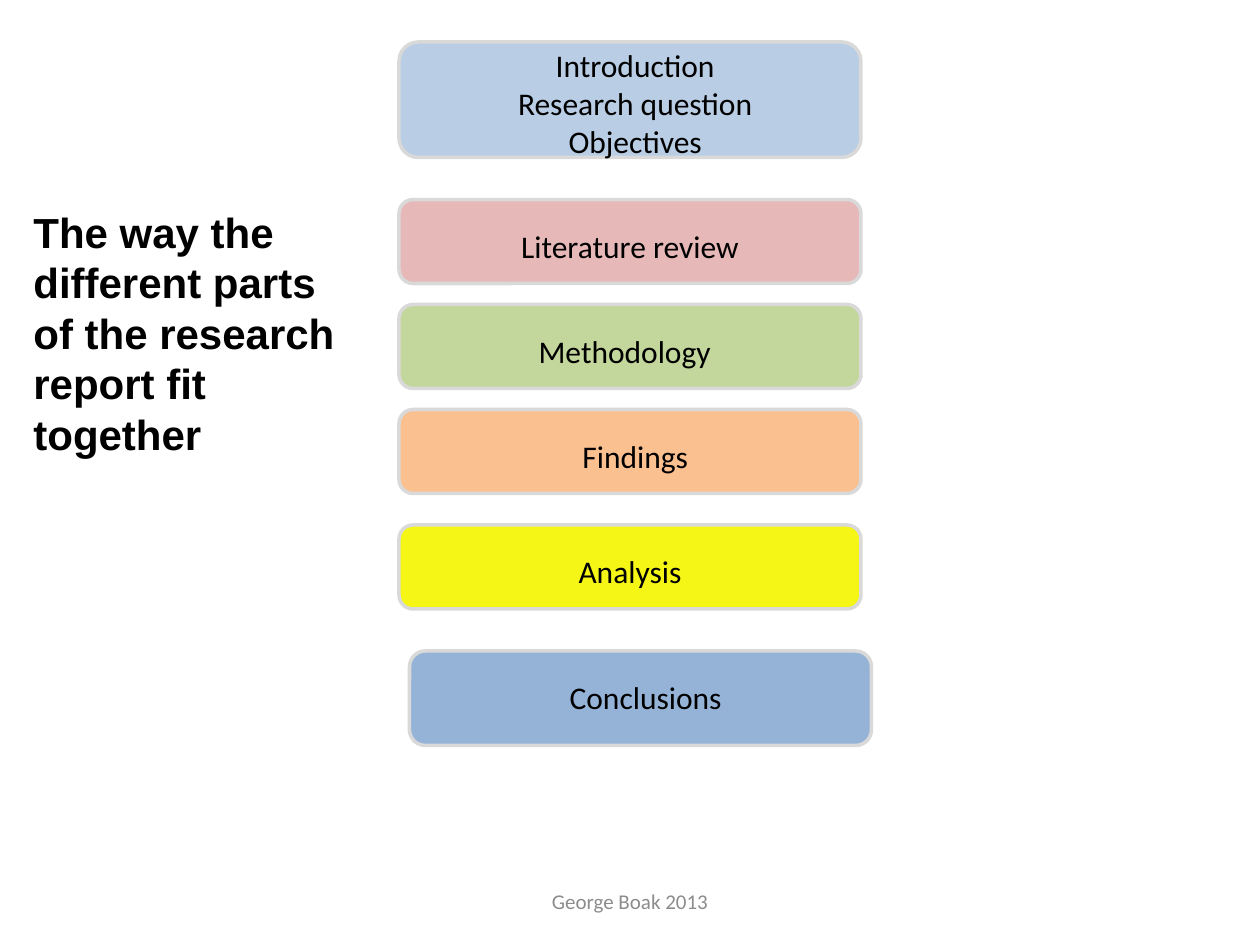
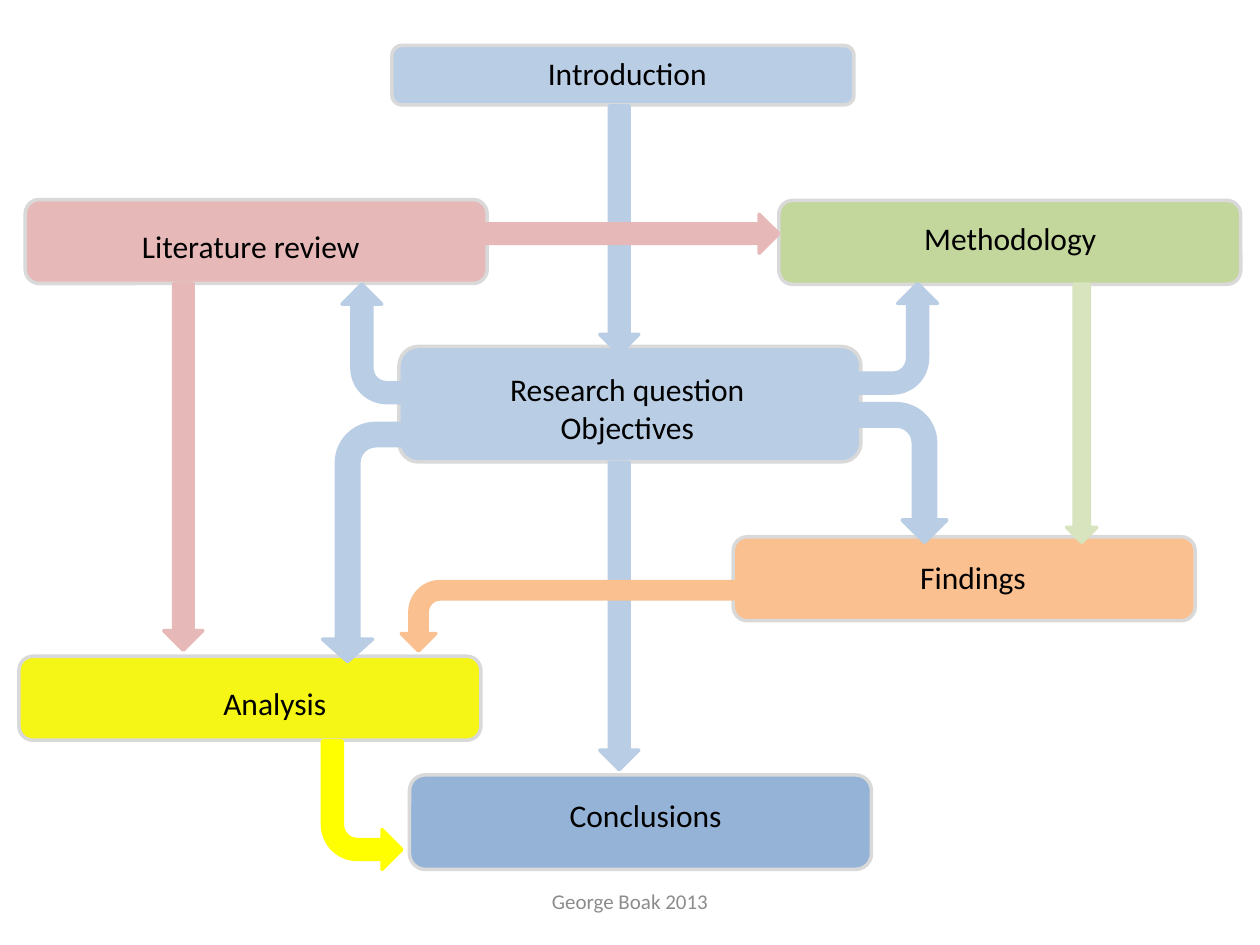
"""Two slides on how the parts of a research report fit together."""
from pptx import Presentation
from pptx.dml.color import RGBColor
from pptx.enum.shapes import MSO_SHAPE as SHAPE
from pptx.enum.text import MSO_ANCHOR as ANCHOR, MSO_AUTO_SIZE as AUTO, PP_ALIGN as ALIGN
from pptx.util import Pt

COLORS = {
    "text": "000000", "footer": "8C8C8C", "border": "D9D9D9",
    "question": "B9CDE5", "literature": "E6B9B8", "methodology": "C3D69B",
    "findings": "FAC090", "analysis": "F6F616", "conclusions": "95B3D7",
    "light_green": "D7E4BD", "yellow": "FFFF00",
}
BOX_W = 264
LINE_H = 22


def add_text(slide, text, x, y, w, h, size=18, font="Calibri", color="text",
             bold=False, align=ALIGN.CENTER, anchor=ANCHOR.TOP, grow=True):
    tf = slide.shapes.add_textbox(Pt(x), Pt(y), Pt(w), Pt(h)).text_frame
    tf.word_wrap = True
    tf.auto_size = AUTO.SHAPE_TO_FIT_TEXT if grow else AUTO.NONE
    tf.vertical_anchor = anchor
    for i, line in enumerate(text.split("\n")):
        p = tf.add_paragraph() if i else tf.paragraphs[0]
        p.alignment = align
        r = p.add_run()
        r.text = line
        r.font.name, r.font.size, r.font.bold = font, Pt(size), bold
        r.font.color.rgb = RGBColor.from_string(COLORS[color])


def add_shape(slide, kind, fill, x, y, w, h, line=None, rotation=0, flip=None):
    sp = slide.shapes.add_shape(kind, Pt(x), Pt(y), Pt(w), Pt(h))
    sp.shadow.inherit = False
    sp.fill.solid()
    sp.fill.fore_color.rgb = RGBColor.from_string(COLORS[fill])
    sp.line.color.rgb = RGBColor.from_string(COLORS[line or fill])
    sp.line.width = Pt(2)
    sp.rotation = rotation
    if flip:
        sp._element.spPr.xfrm.set(flip, "1")
    return sp


prs = Presentation()
prs.slide_width, prs.slide_height = Pt(720), Pt(540)
blank = prs.slide_layouts[6]
overview, flow = [prs.slides.add_slide(blank) for _ in range(2)]

add_text(overview, "The way the different parts of the research report fit together",
         12, 114.5, 198, 152.6, size=24, font="Arial", bold=True, align=ALIGN.LEFT)

# Each part: text, fill, box left, top, height, then label left, top, width.
overview_parts = [
    ("Introduction\nResearch question\nObjectives", "question", 228, 24, 66, 240, 23, 246),
    ("Literature review", "literature", 228, 114, 48, 234, 126, 252),
    ("Methodology", "methodology", 228, 174, 48, 234, 186, 246),
    ("Findings", "findings", 228, 234, 48, 252, 246, 222),
    ("Analysis", "analysis", 228, 300, 48, 234, 312, 252),
    ("Conclusions", "conclusions", 234, 372, 54, 246, 384, 246),
]
flow_parts = [
    ("Introduction", "question", 224, 26, 34, 235.5, 27.4, 246),
    ("Research question\nObjectives", "question", 228, 198, 66, 235.5, 208, 246),
    ("Literature review", "literature", 14.4, 114, 48, 17.3, 126, 252),
    ("Methodology", "methodology", 445, 114.5, 48, 454.3, 121.7, 246),
    ("Findings", "findings", 419, 306.7, 48, 445, 315.4, 222),
    ("Analysis", "analysis", 10.8, 375, 48, 31, 387.4, 252),
    ("Conclusions", "conclusions", 234, 442.8, 54, 246, 451.5, 246),
]
for slide, parts in ((overview, overview_parts), (flow, flow_parts)):
    for text, fill, x, y, h, label_x, label_y, label_w in parts:
        add_shape(slide, SHAPE.ROUNDED_RECTANGLE, fill, x, y, BOX_W, h, line="border")
        label_h = LINE_H * len(text.split("\n")) + 7.2
        add_text(slide, text, label_x, label_y, label_w, label_h)

straight_arrows = [
    (SHAPE.DOWN_ARROW, "question", 342.7, 60.5, 22.3, 141.8, 0),
    (SHAPE.DOWN_ARROW, "question", 342.7, 264.2, 22.3, 175.7, 0),
    (SHAPE.RIGHT_ARROW, "literature", 275, 122.4, 170, 22.3, 0),
    (SHAPE.RIGHT_ARROW, "literature", 0, 255.6, 209.5, 22.3, 90),
    (SHAPE.RIGHT_ARROW, "light_green", 544.3, 227.5, 147.6, 17.3, 90),
]
for kind, fill, x, y, w, h, rotation in straight_arrows:
    add_shape(flow, kind, fill, x, y, w, h, rotation=rotation)

bent_arrows = [
    ("question", 184.3, 173.5, 67.7, 45.4, 270, None, None),
    ("question", 475.9, 244.8, 79.2, 51.1, 90, None, None),
    ("question", 141.8, 284.4, 136.1, 51.1, 90, "flipV", (0.25, 0.28, 0.25, 0.44)),
    ("question", 481.7, 170.6, 62.6, 45.4, 90, "flipH", None),
    ("findings", 306, 255.6, 39.6, 193, 90, "flipV", None),
    ("yellow", 184.3, 423.4, 45.4, 73.4, 0, "flipV", None),
]
for fill, x, y, w, h, rotation, flip, bend in bent_arrows:
    sp = add_shape(flow, SHAPE.BENT_ARROW, fill, x, y, w, h, rotation=rotation, flip=flip)
    for i, value in enumerate(bend or ()):
        sp.adjustments[i] = value

for slide in (overview, flow):
    add_text(slide, "George Boak 2013", 246, 500.5, 228, 28.8, size=12,
             color="footer", anchor=ANCHOR.MIDDLE, grow=False)

prs.save("out.pptx")
